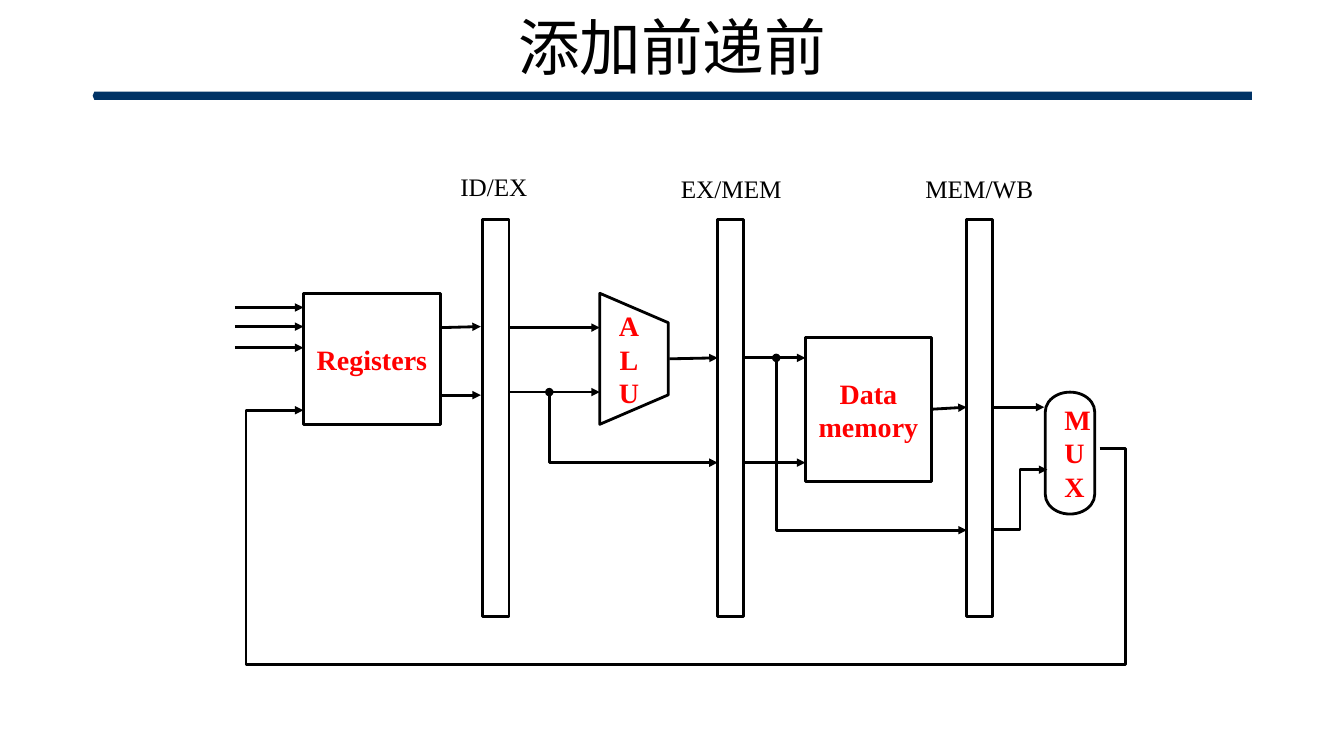
"""Draw a pipeline datapath before forwarding is added."""
import lxml.etree
import pptx
import pptx.dml.color
import pptx.enum.shapes
import pptx.enum.text
import pptx.oxml.ns
import pptx.util

BLACK = pptx.dml.color.RGBColor(0x00, 0x00, 0x00)
WHITE = pptx.dml.color.RGBColor(0xFF, 0xFF, 0xFF)
RED = pptx.dml.color.RGBColor(0xFF, 0x00, 0x00)
NAVY = pptx.dml.color.RGBColor(0x00, 0x33, 0x66)

SHAPE = pptx.enum.shapes.MSO_SHAPE
CONNECTOR = pptx.enum.shapes.MSO_CONNECTOR
ALIGN = pptx.enum.text.PP_ALIGN
ANCHOR = pptx.enum.text.MSO_ANCHOR
LATIN = "Times New Roman"
CHINESE = "Noto Sans CJK SC"

COLUMNS, ROWS = 133.33, 75
CELL = 0.1
ID_EX, EX_MEM, MEM_WB = 47.9, 71.2, 95.9
REGISTER_WIDTH = 2.6
ALU_LEFT, ALU_RIGHT = 59.5, 66.4
REGISTERS_LEFT, REGISTERS_RIGHT = 30.1, 43.8
MEMORY_LEFT, MEMORY_RIGHT = 79.9, 92.4


def grid(cells):
    """Turn a number of grid cells into a length."""
    return pptx.util.Inches(round(cells * CELL, 3))


def add_xml(parent, tag, **attributes):
    """Append a drawing element with the given attributes."""
    return lxml.etree.SubElement(parent, pptx.oxml.ns.qn(tag), attributes)


def write_text(shape, text, size=20, font=LATIN, color=RED, bold=True,
               align=ALIGN.CENTER, anchor=ANCHOR.MIDDLE, wrap=True,
               inset=None, spacing=None):
    """Write one paragraph for each line of text."""
    frame = shape.text_frame
    frame.word_wrap = wrap
    frame.vertical_anchor = anchor
    if inset is not None:
        frame.margin_left = frame.margin_right = grid(inset)
        frame.margin_top = frame.margin_bottom = grid(inset)
    frame.text = text
    for paragraph in frame.paragraphs:
        paragraph.alignment = align
        paragraph.line_spacing = spacing
        run = paragraph.runs[0]
        run.font.size = pptx.util.Pt(size)
        run.font.name = font
        run.font.bold = bold
        run.font.color.rgb = color
        add_xml(run.font._element, "a:ea", typeface=font)


def add_block(slide, kind, left, top, width, height, text="", fill=None,
              line=BLACK, rotation=0):
    """Add an outlined part of the datapath, with its name if it has one."""
    shape = slide.shapes.add_shape(
        kind, grid(left), grid(top), grid(width), grid(height))
    shape.shadow.inherit = False
    shape.rotation = rotation
    if fill is None:
        shape.fill.background()
    else:
        shape.fill.solid()
        shape.fill.fore_color.rgb = fill
    if line is None:
        shape.line.fill.background()
    else:
        shape.line.color.rgb = line
        shape.line.width = pptx.util.Pt(2)
    if text:
        write_text(shape, text, inset=0)
    return shape


def add_label(slide, left, top, width, height, text, **text_format):
    """Add a free-standing text box."""
    box = slide.shapes.add_textbox(
        grid(left), grid(top), grid(width), grid(height))
    write_text(box, text, **text_format)


def add_wire(slide, start, end, bends=(), dot=False):
    """Add an arrow; bends are shares of its extent where it turns."""
    kind = CONNECTOR.ELBOW if bends else CONNECTOR.STRAIGHT
    wire = slide.shapes.add_connector(
        kind, *(grid(cells) for cells in (*start, *end)))
    wire.line.color.rgb = BLACK
    wire.line.width = pptx.util.Pt(2)
    outline = wire.line._get_or_add_ln()
    if dot:
        add_xml(outline, "a:headEnd", type="oval")
    add_xml(outline, "a:tailEnd", type="triangle")
    properties = wire._element.spPr
    add_xml(properties, "a:effectLst")
    if bends:
        geometry = properties.find(pptx.oxml.ns.qn("a:prstGeom"))
        geometry.set("prst", f"bentConnector{len(bends) + 2}")
        guides = geometry.find(pptx.oxml.ns.qn("a:avLst"))
        for number, share in enumerate(bends, 1):
            add_xml(guides, "a:gd", name=f"adj{number}",
                    fmla=f"val {round(share * 100000)}")


def add_heading(slide):
    """Add the title and the bar under it."""
    bar = add_block(slide, SHAPE.PENTAGON, 9.2, 9.1, 115, 0.8,
                    fill=NAVY, line=None)
    bar.adjustments[0] = 0.2
    bar._element.spPr.xfrm.set("flipH", "1")
    add_label(slide, 9.2, 1.7, 115, 6.6, "添加前递前", size=44, font=CHINESE,
              color=BLACK, bold=False, spacing=0.9)


def add_parts(slide):
    """Add the functional units and the pipeline registers."""
    for left in (ID_EX, EX_MEM, MEM_WB):
        add_block(slide, SHAPE.RECTANGLE, left, 21.8, REGISTER_WIDTH, 39.4)
    for left, top, width, name in ((44.6, 16.5, 8.8, "ID/EX"),
                                   (66.4, 16.7, 12.3, "EX/MEM"),
                                   (90.5, 16.7, 13.3, "MEM/WB")):
        add_label(slide, left, top, width, 4, name, size=18, color=BLACK,
                  bold=False, anchor=ANCHOR.TOP)
    add_block(slide, SHAPE.RECTANGLE, REGISTERS_LEFT, 29.1, 13.6, 13,
              "Registers")
    add_block(slide, SHAPE.RECTANGLE, MEMORY_LEFT, 33.5, 12.5, 14.3,
              "Data\nmemory")
    alu = add_block(slide, SHAPE.TRAPEZOID, 56.4, 32.2, 13, 6.8, "A\nL\nU",
                    fill=WHITE, rotation=90)
    alu.adjustments[0] = 0.43
    alu.text_frame._txBody.bodyPr.set("vert", "vert270")
    add_block(slide, SHAPE.FLOWCHART_TERMINATOR, 100.1, 42.5, 12.1, 4.9,
              fill=WHITE, rotation=90)
    add_label(slide, 104.6, 39.4, 4.7, 11.1, "M\nU\nX", align=ALIGN.LEFT,
              anchor=ANCHOR.TOP, wrap=False)


def add_wires(slide):
    """Connect the parts from left to right, then back to the registers."""
    for row in (30.5, 32.4, 34.5):
        add_wire(slide, (23.3, row), (REGISTERS_LEFT, row))
    for start, end in (
            ((REGISTERS_RIGHT, 32.5), (47.7, 32.4)),
            ((REGISTERS_RIGHT, 39.2), (47.7, 39.2)),
            ((ID_EX + REGISTER_WIDTH, 32.5), (ALU_LEFT, 32.5)),
            ((ID_EX + REGISTER_WIDTH, 38.9), (ALU_LEFT, 38.9)),
            ((ALU_RIGHT, 35.6), (EX_MEM, 35.5)),
            ((EX_MEM + REGISTER_WIDTH, 35.5), (MEMORY_LEFT, 35.5)),
            ((EX_MEM + REGISTER_WIDTH, 45.9), (MEMORY_LEFT, 45.9)),
            ((MEMORY_RIGHT, 40.6), (MEM_WB, 40.4)),
            ((MEM_WB + REGISTER_WIDTH, 40.4), (103.6, 40.4))):
        add_wire(slide, start, end)
    add_wire(slide, (54.5, 38.9), (EX_MEM, 45.9), bends=(0,), dot=True)
    add_wire(slide, (77, 35.5), (MEM_WB, 52.6), bends=(0,), dot=True)
    add_wire(slide, (MEM_WB + REGISTER_WIDTH, 52.5), (103.9, 46.6),
             bends=(0.5,))
    add_wire(slide, (109.1, 44.5), (REGISTERS_LEFT, 40.7),
             bends=(-0.032, -5.65, 1.072))


def main():
    """Build and save the slide."""
    presentation = pptx.Presentation()
    presentation.slide_width = grid(COLUMNS)
    presentation.slide_height = grid(ROWS)
    slide = presentation.slides.add_slide(presentation.slide_layouts[6])
    add_heading(slide)
    add_parts(slide)
    add_wires(slide)
    presentation.save("out.pptx")


if __name__ == "__main__":
    main()
